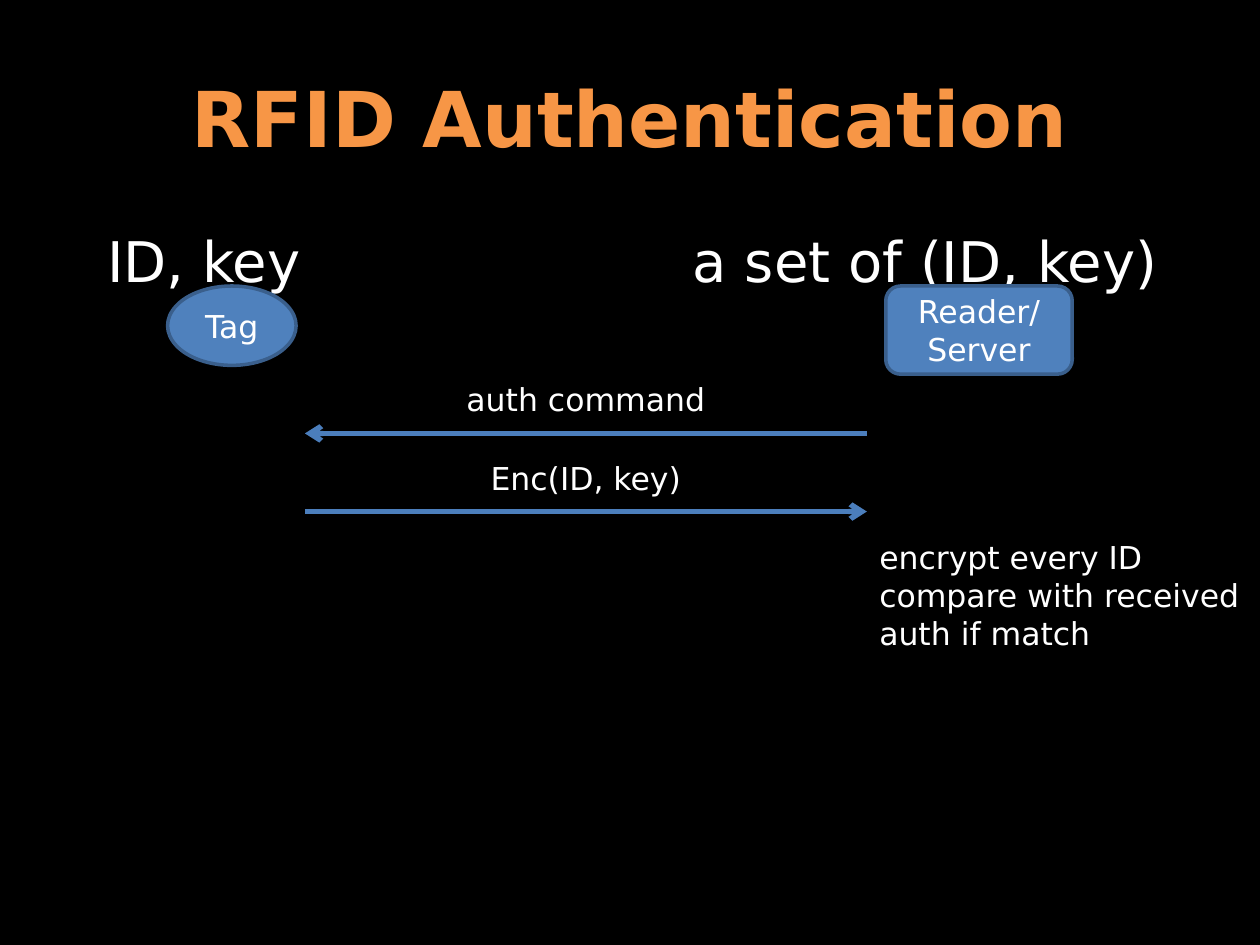
from lxml import etree
from pptx import Presentation
from pptx.dml.color import RGBColor
from pptx.enum.shapes import MSO_CONNECTOR, MSO_SHAPE
from pptx.enum.text import MSO_ANCHOR, PP_ALIGN
from pptx.oxml.ns import qn
from pptx.util import Inches, Pt

LEFT, CENTER = PP_ALIGN.LEFT, PP_ALIGN.CENTER
TOP, MIDDLE = MSO_ANCHOR.TOP, MSO_ANCHOR.MIDDLE
BLACK = RGBColor(0x00, 0x00, 0x00)
WHITE = RGBColor(0xFF, 0xFF, 0xFF)
ORANGE = RGBColor(0xF7, 0x96, 0x46)
BLUE = RGBColor(0x4F, 0x81, 0xBD)
OUTLINE = RGBColor(0x3A, 0x5F, 0x8C)
ARROW = RGBColor(0x4B, 0x7E, 0xBC)
FONT = "DejaVu Sans"

# Content
TITLE = "RFID Authentication"
SECRETS = "ID, key\ta set of (ID, key)"
PARTIES = [  # preset, lines, left, top, width, height
    (MSO_SHAPE.OVAL, ["Tag"], 1.33, 2.27, 1.02, 0.63),
    (MSO_SHAPE.ROUNDED_RECTANGLE, ["Reader/", "Server"], 7.03, 2.27, 1.48, 0.7),
]
MESSAGES = [("auth command", "to tag"), ("Enc(ID, key)", "to reader")]
CHECKS = ["encrypt every ID", "compare with received", "auth if match"]

# Layout in inches
TAG_X, READER_X = 2.42, 6.88
MESSAGE_TOP, MESSAGE_STEP, LABEL_HEIGHT, ARROW_DROP = 2.97, 0.62, 0.4, 0.47
SECRETS_TAB = 4.65


def write(shape, lines, size=18, color=WHITE, align=LEFT, anchor=TOP, bold=False):
    frame = shape.text_frame
    frame.word_wrap = True
    frame.vertical_anchor = anchor
    frame.text = "\n".join(lines)
    for para in frame.paragraphs:
        para.alignment = align
        font = para.font
        font.name, font.size, font.bold = FONT, Pt(size), bold
        font.color.rgb = color
    return frame


def add_text(page, lines, left, top, width, height, **style):
    box = page.shapes.add_textbox(*map(Inches, (left, top, width, height)))
    return write(box, lines, **style)


def add_party(page, preset, lines, *place):
    shape = page.shapes.add_shape(preset, *map(Inches, place))
    shape.shadow.inherit = False
    shape.fill.solid()
    shape.fill.fore_color.rgb = BLUE
    shape.line.color.rgb = OUTLINE
    shape.line.width = Pt(2)
    write(shape, lines, align=CENTER, anchor=MIDDLE)


def add_arrow(page, start_x, end_x, y):
    arrow = page.shapes.add_connector(
        MSO_CONNECTOR.STRAIGHT, Inches(start_x), Inches(y), Inches(end_x), Inches(y))
    arrow.line.color.rgb = ARROW
    arrow.line.width = Pt(3)
    etree.SubElement(arrow.line._get_or_add_ln(), qn("a:tailEnd"), type="arrow")
    etree.SubElement(arrow._element.spPr, qn("a:effectLst"))


def main():
    deck = Presentation()
    deck.slide_width, deck.slide_height = Inches(10), Inches(7.5)
    page = deck.slides.add_slide(deck.slide_layouts[5])
    page.background.fill.solid()
    page.background.fill.fore_color.rgb = BLACK

    # Title
    title = page.shapes.title
    title.left, title.top = Inches(0), Inches(0.3)
    title.width, title.height = Inches(10), Inches(1.25)
    write(title, [TITLE], 44, ORANGE, CENTER, MIDDLE, bold=True)

    # What each side knows, set apart by a tab stop
    frame = add_text(page, [SECRETS], 0.5, 1.75, 9.5, 5.75, size=32)
    frame.margin_left = Inches(0.35)
    properties = frame.paragraphs[0]._p.get_or_add_pPr()
    tabs = etree.Element(qn("a:tabLst"))
    etree.SubElement(tabs, qn("a:tab"), pos=str(Inches(SECRETS_TAB)), algn="l")
    properties.find(qn("a:defRPr")).addprevious(tabs)

    # Tag and reader
    for party in PARTIES:
        add_party(page, *party)

    # Messages between them
    for index, (label, direction) in enumerate(MESSAGES):
        top = MESSAGE_TOP + index * MESSAGE_STEP
        ends = (READER_X, TAG_X) if direction == "to tag" else (TAG_X, READER_X)
        add_arrow(page, *ends, top + ARROW_DROP)
        add_text(page, [label], TAG_X, top, READER_X - TAG_X, LABEL_HEIGHT, align=CENTER)

    # Work done by the reader
    add_text(page, CHECKS, READER_X, 4.22, 3.12, 1.01)

    deck.save("out.pptx")


if __name__ == "__main__":
    main()
